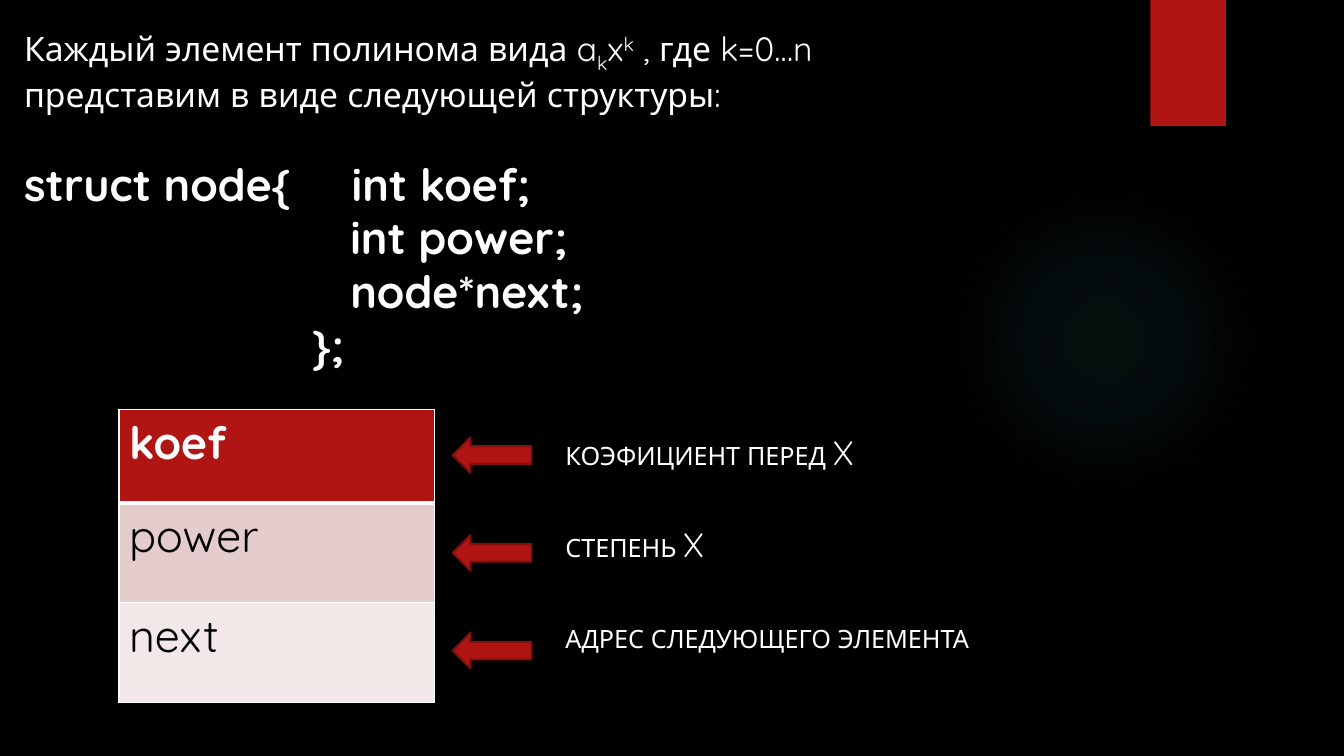
"""Build the slide that presents the structure of one polynomial element."""
from dataclasses import dataclass

from lxml import etree
from pptx import Presentation
from pptx.dml.color import RGBColor
from pptx.enum.shapes import MSO_SHAPE
from pptx.enum.text import MSO_AUTO_SIZE
from pptx.oxml import parse_xml
from pptx.oxml.ns import nsdecls, qn
from pptx.util import Inches, Pt

RECTANGLE = MSO_SHAPE.RECTANGLE
OVAL = MSO_SHAPE.OVAL
LEFT_ARROW = MSO_SHAPE.LEFT_ARROW
GROW = MSO_AUTO_SIZE.SHAPE_TO_FIT_TEXT

FONT = "Quicksand"
WHITE, BLACK, RED, DARK_RED, TEAL = "FFFFFF", "000000", "B01513", "82100E", "50B9C1"
GLOW_STOPS = ((0, 7), (36, 6), (69, 0))
FIRST_ARROW_TOP, ARROW_PITCH = 4.34, 0.97


@dataclass(frozen=True)
class Span:
    """A piece of text with one look."""
    text: str
    size: float
    bold: bool = False
    color: str = WHITE
    baseline: int = 0


@dataclass(frozen=True)
class Box:
    """A rectangle on the slide, in inches."""
    left: float
    top: float
    width: float
    height: float

    def lengths(self) -> tuple:
        """Return the four values as lengths."""
        return tuple(Inches(v) for v in (self.left, self.top, self.width, self.height))


@dataclass(frozen=True)
class Field:
    """A field of the structure: its table cell and its explanation."""
    name: Span
    fill: str
    height: float
    border_top: float
    border_bottom: float
    label_box: Box
    label: tuple


FIELDS = (
    Field(Span("koef", 32, True), RED, 0.93, 1, 3, Box(5.51, 4.24, 3.31, 0.5),
          (Span("КОЭФИЦИЕНТ ПЕРЕД ", 18), Span("X", 24))),
    Field(Span("power", 32, color=BLACK), "E4CCCC", 0.99, 3, 1, Box(5.51, 5.15, 1.92, 0.5),
          (Span("СТЕПЕНЬ ", 18), Span("X", 24))),
    Field(Span("next", 32, color=BLACK), "F2E8E7", 0.99, 1, 1, Box(5.51, 6.13, 4.37, 0.71),
          (Span("АДРЕС СЛЕДУЮЩЕГО ЭЛЕМЕНТА", 18),)),
)
SENTENCE = (
    Span("Каждый элемент полинома вида a", 24),
    Span("k", 24, baseline=-25),
    Span("x", 24),
    Span("k", 24, baseline=30),
    Span(" , где k=0…n представим в виде следующей структуры:", 24),
)
CODE = (
    "struct node{\tint koef;",
    "                          int power;",
    "                          node*next;",
    "                       };",
)


def rgb(value: str) -> RGBColor:
    """Turn a hex string into a colour."""
    return RGBColor.from_string(value)


def write_spans(paragraph, spans: tuple) -> None:
    """Add formatted runs to a paragraph."""
    for span in spans:
        run = paragraph.add_run()
        run.text = span.text
        look = {"name": FONT, "size": Pt(span.size), "bold": span.bold}
        for attribute, value in look.items():
            setattr(run.font, attribute, value)
        run.font.color.rgb = rgb(span.color)
        if span.baseline:
            run.font._element.set("baseline", str(span.baseline * 1000))


def add_text(slide, box: Box, paragraphs: tuple):
    """Add a wrapping text box and return its text frame."""
    frame = slide.shapes.add_textbox(*box.lengths()).text_frame
    for attribute, value in {"word_wrap": True, "auto_size": GROW}.items():
        setattr(frame, attribute, value)
    for index, spans in enumerate(paragraphs):
        write_spans(frame.add_paragraph() if index else frame.paragraphs[0], spans)
    return frame


def add_figure(slide, kind, box: Box, fill: str, line: str = ""):
    """Add a flat preset shape, outlined when a line colour is given."""
    figure = slide.shapes.add_shape(kind, *box.lengths())
    figure.shadow.inherit = False
    figure.fill.solid()
    figure.fill.fore_color.rgb = rgb(fill)
    if line:
        figure.line.color.rgb = rgb(line)
        figure.line.width = Pt(1.5)
    else:
        figure.line.fill.background()
    return figure


def add_glow(slide) -> None:
    """Add the faint round glow of the background."""
    glow = add_figure(slide, OVAL, Box(9.41, 1.83, 3.08, 3.08), TEAL)
    stops = "".join(
        f'<a:gs pos="{position * 1000}"><a:srgbClr val="{TEAL}">'
        f'<a:alpha val="{alpha * 1000}"/></a:srgbClr></a:gs>'
        for position, alpha in GLOW_STOPS)
    gradient = parse_xml(
        f'<a:gradFill {nsdecls("a")}><a:gsLst>{stops}</a:gsLst><a:path path="circle">'
        '<a:fillToRect l="50000" t="50000" r="50000" b="50000"/></a:path></a:gradFill>')
    properties = glow._element.spPr
    properties.replace(properties.find(qn("a:solidFill")), gradient)


def set_borders(cell, top: float, bottom: float) -> None:
    """Draw white borders around a cell."""
    properties = cell._tc.get_or_add_tcPr()
    widths = {"a:lnL": 1, "a:lnR": 1, "a:lnT": top, "a:lnB": bottom}
    for index, (tag, width) in enumerate(widths.items()):
        border = etree.Element(qn(tag), w=str(Pt(width)))
        fill = etree.SubElement(border, qn("a:solidFill"))
        etree.SubElement(fill, qn("a:srgbClr"), val=WHITE)
        properties.insert(index, border)


def add_structure_text(slide) -> None:
    """Add the sentence and the declaration of the structure."""
    code_lines = tuple((Span(line, 32, True),) for line in CODE)
    frame = add_text(slide, Box(0.14, 0.23, 10.06, 3.77), (SENTENCE, *code_lines))
    declaration = frame.paragraphs[1]
    declaration.space_before = Pt(30)
    tabs = etree.SubElement(declaration._p.get_or_add_pPr(), qn("a:tabLst"))
    etree.SubElement(tabs, qn("a:tab"), pos=str(Inches(3.25)), algn="l")


def add_fields(slide) -> None:
    """Add the table of fields with an arrow and an explanation for each."""
    table = slide.shapes.add_table(len(FIELDS), 1, *Box(1.18, 4.06, 3.13, 2.91).lengths()).table
    for index, field in enumerate(FIELDS):
        table.rows[index].height = Inches(field.height)
        cell = table.cell(index, 0)
        cell.fill.solid()
        cell.fill.fore_color.rgb = rgb(field.fill)
        set_borders(cell, field.border_top, field.border_bottom)
        write_spans(cell.text_frame.paragraphs[0], (field.name,))
        arrow_box = Box(4.49, FIRST_ARROW_TOP + index * ARROW_PITCH, 0.78, 0.35)
        add_figure(slide, LEFT_ARROW, arrow_box, RED, DARK_RED)
        add_text(slide, field.label_box, (field.label,))


def main() -> None:
    """Build and save the presentation."""
    presentation = Presentation()
    presentation.slide_width, presentation.slide_height = Inches(13.33), Inches(7.5)
    slide = presentation.slides.add_slide(presentation.slide_layouts[6])
    slide.background.fill.solid()
    slide.background.fill.fore_color.rgb = rgb(BLACK)
    add_glow(slide)
    add_figure(slide, RECTANGLE, Box(11.41, 0, 0.75, 1.25), RED)
    add_structure_text(slide)
    add_fields(slide)
    presentation.save("out.pptx")


if __name__ == "__main__":
    main()
